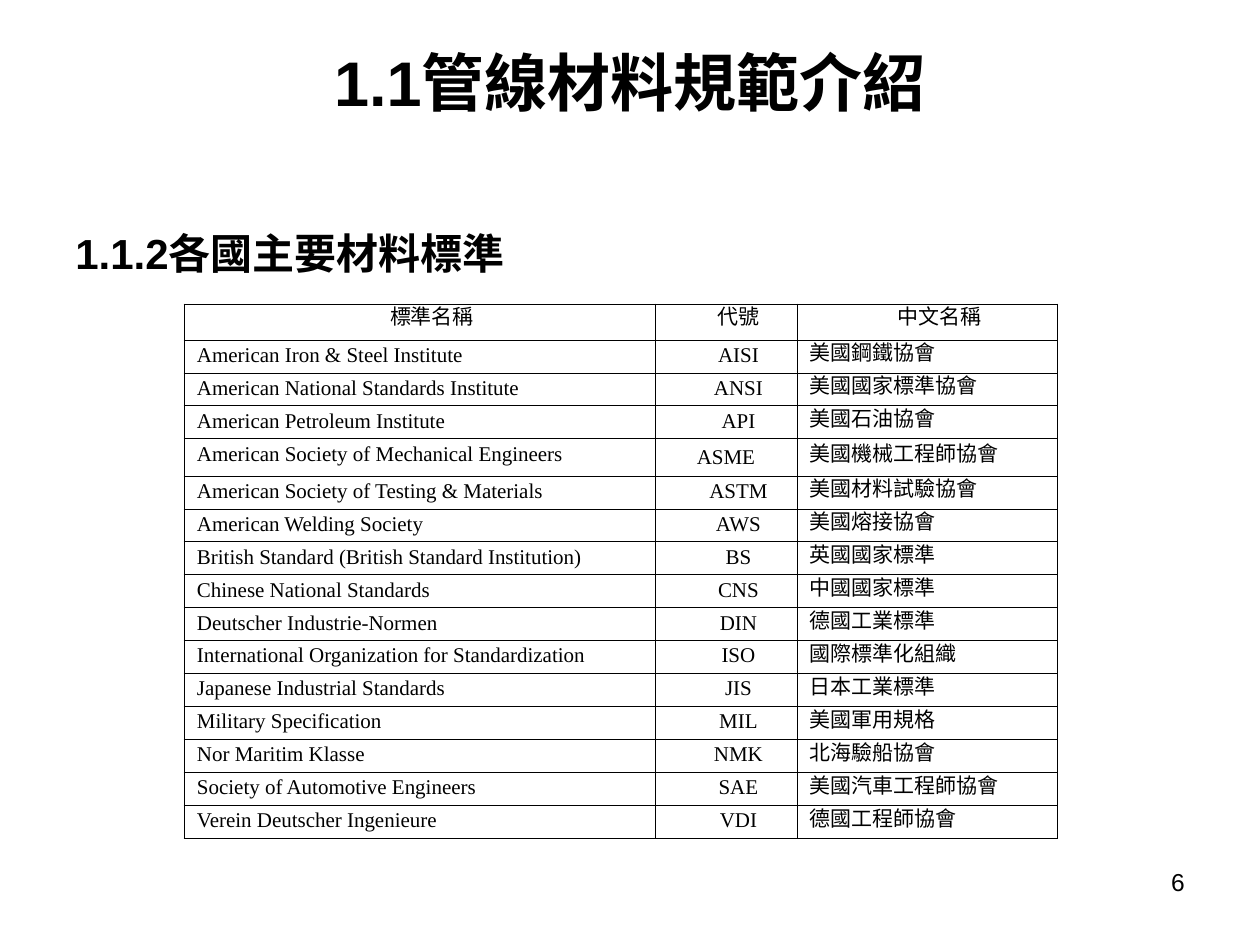
from typing import NamedTuple

from lxml import etree
from pptx import Presentation
from pptx.dml.color import RGBColor
from pptx.enum.text import MSO_ANCHOR, PP_ALIGN
from pptx.oxml.ns import qn
from pptx.util import Emu, Pt

LEFT, CENTER, RIGHT = PP_ALIGN.LEFT, PP_ALIGN.CENTER, PP_ALIGN.RIGHT
JUSTIFY = PP_ALIGN.JUSTIFY
TOP, MIDDLE = MSO_ANCHOR.TOP, MSO_ANCHOR.MIDDLE

PX_PER_INCH = 126
BLACK = "000000"
SANS, SERIF = "Arial", "Times New Roman"
BORDER_PT = 0.45
TABLE_X, TABLE_Y = 184, 304
COLUMN_WIDTHS = (471, 142, 260)
HEADER_HEIGHT, ROW_HEIGHT = 36, 27
HEADER_INDENT, BODY_INDENT = 25, 10


class Box(NamedTuple):
    x: int
    y: int
    w: int
    h: int


class Standard(NamedTuple):
    name: str
    code: str
    chinese: str


HEADER = Standard("標準名稱", "代號", "中文名稱")
STANDARDS = (
    Standard("American Iron & Steel Institute", "AISI", "美國鋼鐵協會"),
    Standard("American National Standards Institute", "ANSI", "美國國家標準協會"),
    Standard("American Petroleum Institute", "API", "美國石油協會"),
    Standard("American Society of Mechanical Engineers", "ASME", "美國機械工程師協會"),
    Standard("American Society of Testing & Materials", "ASTM", "美國材料試驗協會"),
    Standard("American Welding Society", "AWS", "美國熔接協會"),
    Standard("British Standard (British Standard Institution)", "BS", "英國國家標準"),
    Standard("Chinese National Standards", "CNS", "中國國家標準"),
    Standard("Deutscher Industrie-Normen", "DIN", "德國工業標準"),
    Standard("International Organization for Standardization", "ISO", "國際標準化組織"),
    Standard("Japanese Industrial Standards", "JIS", "日本工業標準"),
    Standard("Military Specification", "MIL", "美國軍用規格"),
    Standard("Nor Maritim Klasse", "NMK", "北海驗船協會"),
    Standard("Society of Automotive Engineers", "SAE", "美國汽車工程師協會"),
    Standard("Verein Deutscher Ingenieure", "VDI", "德國工程師協會"),
)


def px(n: int) -> Emu:
    return Emu(round(n * 914400 / PX_PER_INCH))


def color(value: str) -> RGBColor:
    return RGBColor.from_string(value)


def write(tf, text: str, *, size: int, font: str = SANS, bold: bool = False,
          align=LEFT, margin: int = 0, indent: int = 0, line_pt: int = 0) -> None:
    p = tf.paragraphs[0]
    p.alignment = align
    if line_pt:
        p.line_spacing = Pt(line_pt)
    pPr = p._p.get_or_add_pPr()
    pPr.set("marL", str(px(margin)))
    pPr.set("indent", str(px(indent)))
    r = p.add_run()
    r.text = text
    r.font.size, r.font.name, r.font.bold = Pt(size), font, bold
    r.font.color.rgb = color(BLACK)


def add_text(slide, box: Box, text: str, *, anchor=TOP, top: int = 6,
             bottom: int = 6, **style) -> None:
    tf = slide.shapes.add_textbox(*map(px, box)).text_frame
    tf.word_wrap = True
    tf.vertical_anchor = anchor
    tf.margin_top, tf.margin_bottom = px(top), px(bottom)
    write(tf, text, **style)


def outline_cell(cell) -> None:
    tcPr = cell._tc.get_or_add_tcPr()
    for side in ("a:lnL", "a:lnR", "a:lnT", "a:lnB"):
        ln = etree.SubElement(tcPr, qn(side), w=str(Pt(BORDER_PT)))
        fill = etree.SubElement(ln, qn("a:solidFill"))
        etree.SubElement(fill, qn("a:srgbClr"), val=BLACK)


def fill_cell(cell, text: str, *, anchor, **style) -> None:
    outline_cell(cell)
    cell.fill.background()
    cell.margin_left = cell.margin_right = px(3)
    cell.margin_top = cell.margin_bottom = px(6)
    cell.vertical_anchor = anchor
    write(cell.text_frame, text, size=12, font=SERIF, **style)


def add_standards_table(slide) -> None:
    rows = (HEADER, *STANDARDS)
    height = HEADER_HEIGHT + ROW_HEIGHT * len(STANDARDS)
    box = Box(TABLE_X, TABLE_Y, sum(COLUMN_WIDTHS), height)
    table = slide.shapes.add_table(len(rows), len(COLUMN_WIDTHS), *map(px, box)).table
    table.first_row = table.horz_banding = False
    for column, width in zip(table.columns, COLUMN_WIDTHS):
        column.width = px(width)
    aligns, anchors = (LEFT, CENTER, JUSTIFY), (TOP, MIDDLE, MIDDLE)
    for i, standard in enumerate(rows):
        is_header = i == 0
        table.rows[i].height = px(HEADER_HEIGHT if is_header else ROW_HEIGHT)
        for j, text in enumerate(standard):
            align = CENTER if is_header else aligns[j]
            margin = HEADER_INDENT if align == CENTER else BODY_INDENT
            line_pt = 12
            if text == "ASME":  # the one code set without indent or fixed line height
                margin = line_pt = 0
            fill_cell(table.cell(i, j), text, align=align, margin=margin,
                      line_pt=line_pt, anchor=TOP if is_header else anchors[j])


def main() -> None:
    prs = Presentation()
    prs.slide_width, prs.slide_height = px(1260), px(945)
    slide = prs.slides.add_slide(prs.slide_layouts[6])
    add_text(slide, Box(63, 38, 1134, 158), "1.1管線材料規範介紹", size=36,
             bold=True, align=CENTER, anchor=MIDDLE, top=0, bottom=72)
    add_text(slide, Box(63, 221, 1134, 624), "1.1.2各國主要材料標準", size=24,
             bold=True, margin=48, indent=-48)
    add_text(slide, Box(903, 861, 294, 66), "6", size=14, align=RIGHT)
    add_standards_table(slide)
    prs.save("out.pptx")


if __name__ == "__main__":
    main()
